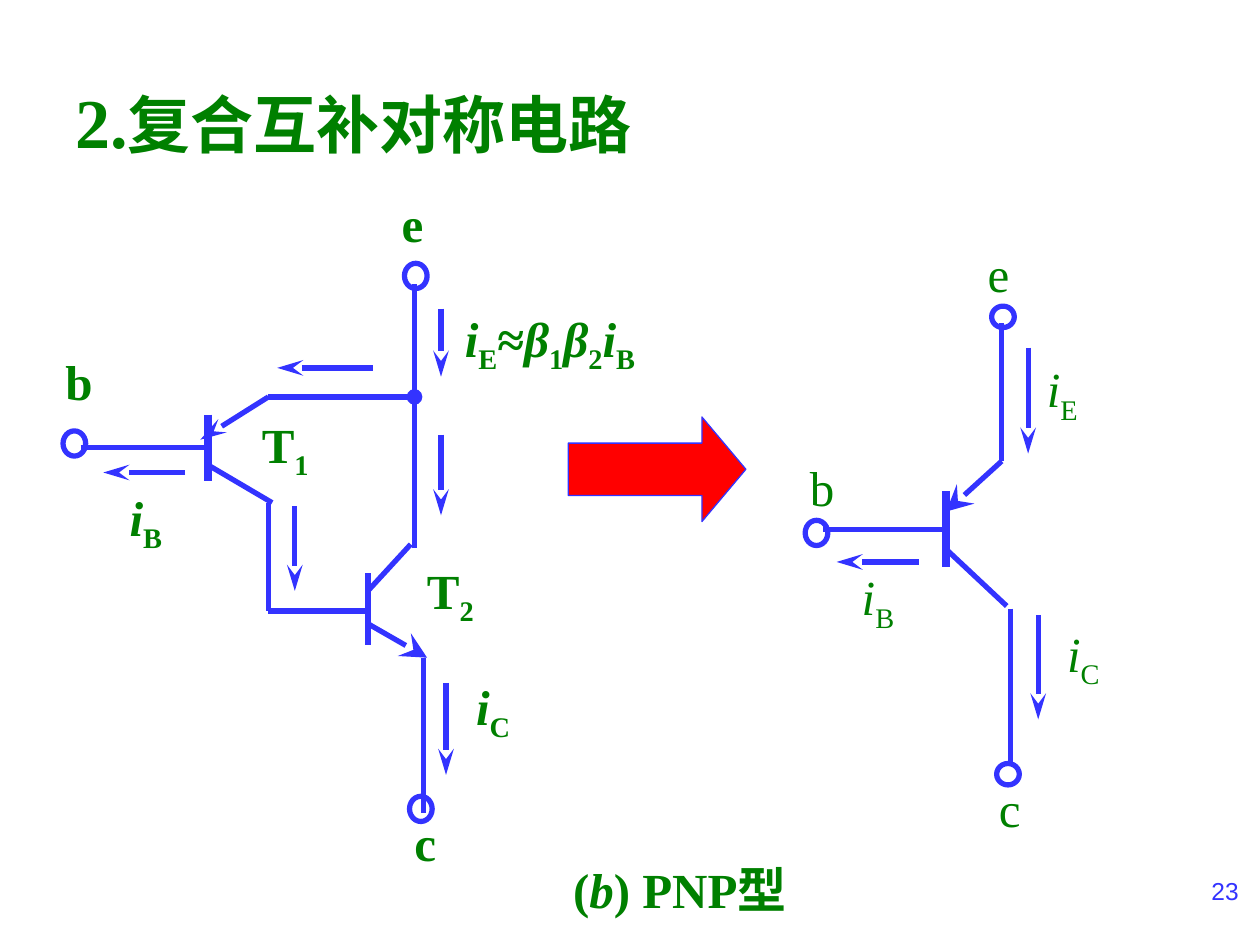
from typing import NamedTuple

from lxml import etree
from pptx import Presentation
from pptx.dml.color import RGBColor
from pptx.enum.shapes import MSO_CONNECTOR, MSO_SHAPE
from pptx.enum.text import MSO_ANCHOR, PP_ALIGN
from pptx.oxml.ns import qn
from pptx.util import Inches, Pt

LINE = MSO_CONNECTOR.STRAIGHT
OVAL, ARROW = MSO_SHAPE.OVAL, MSO_SHAPE.RIGHT_ARROW
LEFT, RIGHT, JUST = PP_ALIGN.LEFT, PP_ALIGN.RIGHT, PP_ALIGN.JUSTIFY
TOP, MID = MSO_ANCHOR.TOP, MSO_ANCHOR.MIDDLE

COLORS = {"wire": "3333FF", "text": "008000", "arrow": "FF0000"}
# Run styles: r roman, i italic, s subscript
STYLES = {
    "r": {"italic": False},
    "i": {"italic": True},
    "s": {"italic": False},
}


class Wire(NamedTuple):
    x1: float
    y1: float
    x2: float
    y2: float
    width: float = 3
    tip: str = ""
    span: str = "med"


class Ring(NamedTuple):
    x: float
    y: float
    high: float = 0.2


class Run(NamedTuple):
    text: str
    style: str = "r"
    size: float = 28


class Label(NamedTuple):
    x: float
    y: float
    wide: float
    high: float
    runs: list[Run]
    bold: bool = True
    align: PP_ALIGN = JUST
    anchor: MSO_ANCHOR = TOP
    font: str = "Times New Roman"
    color: str = "text"


def flow(x1: float, y1: float, x2: float, y2: float, span: str = "med") -> Wire:
    """Return a wire with a stealth tip at its end."""
    return Wire(x1, y1, x2, y2, tip="stealth", span=span)


def amp(sub: str) -> list[Run]:
    """Return the runs of a current symbol."""
    return [Run("i", "i"), Run(sub, "s")]


def rgb(name: str) -> RGBColor:
    return RGBColor.from_string(COLORS[name])


def draw_wire(shapes, wire: Wire) -> None:
    ends = [Inches(v) for v in wire[:4]]
    item = shapes.add_connector(LINE, *ends)
    item.line.color.rgb = rgb("wire")
    item.line.width = Pt(wire.width)
    props = item._element.spPr
    if wire.tip:
        size = "lg" if wire.tip == "stealth" else "med"
        etree.SubElement(props.find(qn("a:ln")), qn("a:tailEnd"),
                         type=wire.tip, w=wire.span, len=size)
    etree.SubElement(props, qn("a:effectLst"))


def draw_shape(shapes, kind, box: tuple, width: float, fill: str = ""):
    item = shapes.add_shape(kind, *[Inches(v) for v in box])
    item.shadow.inherit = False
    item.line.color.rgb = rgb("wire")
    item.line.width = Pt(width)
    if fill:
        item.fill.solid()
        item.fill.fore_color.rgb = rgb(fill)
    else:
        item.fill.background()
    return item


def draw_label(shapes, label: Label) -> None:
    box = shapes.add_textbox(*[Inches(v) for v in label[:4]])
    frame = box.text_frame
    frame.word_wrap = True
    frame.vertical_anchor = label.anchor
    para = frame.paragraphs[0]
    para.alignment = label.align
    for part in label.runs:
        run = para.add_run()
        run.text = part.text
        look = {"name": label.font, "size": Pt(part.size), "bold": label.bold}
        for key, value in (look | STYLES[part.style]).items():
            setattr(run.font, key, value)
        run.font.color.rgb = rgb(label.color)
        if part.style == "s":
            run._r.get_or_add_rPr().set("baseline", "-25000")


PAIR_WIRES = [
    Wire(0.64, 3.55, 1.65, 3.55),
    Wire(1.65, 3.29, 1.65, 3.82, 4.5),
    flow(2.13, 3.15, 1.59, 3.49),
    Wire(1.65, 3.69, 2.16, 3.99),
    Wire(2.13, 3.15, 3.29, 3.15, tip="oval"),
    Wire(2.13, 3.99, 2.13, 4.85),
    Wire(2.13, 4.85, 2.92, 4.85),
    Wire(2.92, 4.55, 2.92, 5.12),
    Wire(2.92, 4.69, 3.26, 4.32),
    flow(2.92, 4.95, 3.39, 5.22, "lg"),
    Wire(3.29, 4.35, 3.29, 2.25),
    Wire(3.36, 5.22, 3.36, 6.45),
    flow(1.47, 3.75, 0.82, 3.75),
    flow(2.96, 2.92, 2.2, 2.92),
    flow(2.34, 4.02, 2.34, 4.69),
    flow(3.5, 2.45, 3.5, 2.99),
    flow(3.5, 3.45, 3.5, 4.09),
    flow(3.54, 5.42, 3.54, 6.15),
]
PAIR_RINGS = [Ring(3.21, 2.09), Ring(3.25, 6.32), Ring(0.5, 3.42)]
GAIN = amp("E") + [Run("≈"), Run("β", "i"), Run("1", "s"),
                   Run("β", "i"), Run("2", "s")] + amp("B")
PAIR_LABELS = [
    Label(3.09, 1.49, 0.67, 0.58, [Run("e")]),
    Label(3.19, 6.4, 0.9, 0.6, [Run("c")]),
    Label(0.42, 2.74, 0.83, 0.92, [Run("b")]),
    Label(1.98, 3.24, 0.86, 0.85, [Run("T"), Run("1", "s")]),
    Label(3.29, 4.4, 1.05, 0.75, [Run("T"), Run("2", "s")]),
    Label(0.93, 3.82, 1.08, 0.75, amp("B")),
    Label(3.59, 2.4, 2.41, 0.83, GAIN),
    Label(3.68, 5.32, 0.99, 0.8, amp("C")),
]

SOLO_WIRES = [
    Wire(7.51, 3.9, 7.51, 4.5, 4.5),
    flow(7.95, 3.66, 7.51, 4.06, "lg"),
    Wire(7.51, 4.36, 7.99, 4.81),
    Wire(7.51, 4.2, 6.53, 4.2),
    Wire(7.95, 3.66, 7.95, 2.56),
    Wire(8.02, 4.83, 8.02, 6.06),
    flow(7.29, 4.46, 6.64, 4.46),
    flow(8.16, 2.76, 8.16, 3.6),
    flow(8.24, 4.88, 8.24, 5.71),
]
SOLO_RINGS = [Ring(6.39, 4.13), Ring(7.87, 2.43, 0.17), Ring(7.91, 6.06, 0.17)]
SOLO_LABELS = [
    Label(6.74, 4.45, 1.09, 0.93, amp("B"), False),
    Label(8.37, 4.9, 0.88, 0.82, amp("C"), False),
    Label(6.33, 3.58, 0.87, 0.88, [Run("b")], False),
    Label(8.21, 2.8, 0.7, 0.77, amp("E"), False),
    Label(7.74, 1.88, 0.88, 0.93, [Run("e")], False),
    Label(7.83, 6.13, 0.64, 0.77, [Run("c")], False),
]

PAGE_LABELS = [
    Label(7.6, 6.9, 2.33, 0.52, [Run("23", size=14)], False, RIGHT,
          font="Arial", color="wire"),
    Label(4.45, 6.77, 2.75, 0.92, [Run("("), Run("b", "i"), Run(") PNP型")]),
    Label(0.5, 0.33, 8.5, 1.25,
          [Run("2.", size=40), Run("复合互补对称电路", size=36)],
          align=LEFT, anchor=MID),
]


def draw_part(shapes, wires: list[Wire], rings: list[Ring],
              labels: list[Label]) -> None:
    for wire in wires:
        draw_wire(shapes, wire)
    for ring in rings:
        draw_shape(shapes, OVAL, (ring.x, ring.y, 0.18, ring.high), 3)
    for label in labels:
        draw_label(shapes, label)


def main() -> None:
    deck = Presentation()
    deck.slide_width, deck.slide_height = Inches(10), Inches(7.5)
    shapes = deck.slides.add_slide(deck.slide_layouts[6]).shapes
    for wires, rings, labels in ((PAIR_WIRES, PAIR_RINGS, PAIR_LABELS),
                                 (SOLO_WIRES, SOLO_RINGS, SOLO_LABELS)):
        draw_part(shapes.add_group_shape().shapes, wires, rings, labels)
    arrow = draw_shape(shapes, ARROW, (4.51, 3.31, 1.41, 0.83), 0.75, "arrow")
    arrow.adjustments[1] = 0.42
    for label in PAGE_LABELS:
        draw_label(shapes, label)
    deck.save("out.pptx")


if __name__ == "__main__":
    main()
